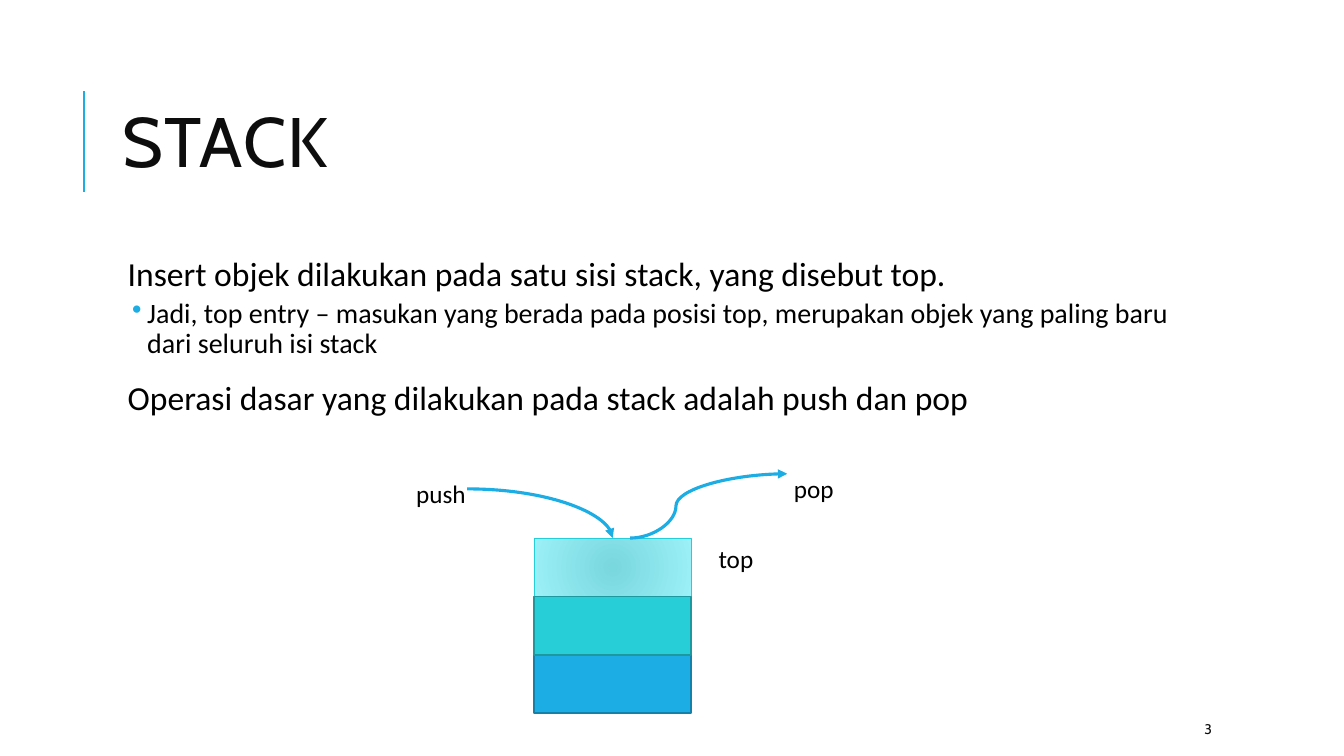
from pptx import Presentation
from pptx.dml.color import RGBColor
from pptx.enum.shapes import MSO_CONNECTOR as CONN, MSO_SHAPE as SHAPE
from pptx.enum.text import MSO_ANCHOR as ANCHOR, MSO_AUTO_SIZE as AUTO
from pptx.oxml import parse_xml
from pptx.oxml.ns import nsdecls
from pptx.util import Cm, Pt

C = {"blue": "1CADE4", "blue_edge": "1580A9", "teal": "27CED7",
     "teal_edge": "1D989F", "glow_in": "79D7DE", "glow_out": "9CF0F7",
     "ink": "0D0D0D", "black": "000000"}

prs = Presentation()
prs.slide_width, prs.slide_height = Cm(33.87), Cm(19.05)
s = prs.slides.add_slide(prs.slide_layouts[6])


def add_text(box, paras, font, color, anchor=ANCHOR.TOP, wrap=True):
    """Add a text box; paras holds (text, size, paragraph format)."""
    tf = s.shapes.add_textbox(*map(Cm, box)).text_frame
    tf.word_wrap, tf.vertical_anchor = wrap, anchor
    for i, (text, size, fmt) in enumerate(paras):
        p = tf.add_paragraph() if i else tf.paragraphs[0]
        for name, value in fmt.items():
            setattr(p, name, value)
        r = p.add_run()
        r.text = text
        r.font.size, r.font.name = Pt(size), font
        r.font.color.rgb = RGBColor.from_string(C[color])
    return tf


def add_line(kind, x1, y1, x2, y2, width):
    """Add a blue connector without a shadow."""
    c = s.shapes.add_connector(kind, Cm(x1), Cm(y1), Cm(x2), Cm(y2))
    c.line.color.rgb = RGBColor.from_string(C["blue"])
    c.line.width = Pt(width)
    c._element.spPr.append(parse_xml(f"<a:effectLst {nsdecls('a')}/>"))
    return c


# Title with accent line, and slide number
add_line(CONN.STRAIGHT, 2.12, 4.83, 2.12, 2.29, 1.5)
add_text((30.1, 17.98, 2.69, 0.76), [("3", 10, {})], "Cabin", "ink", ANCHOR.MIDDLE)
tf = add_text((2.84, 1.63, 27, 4.17), [("STACK", 50, {"line_spacing": 0.8})],
              "Cabin", "ink", ANCHOR.MIDDLE)
tf.paragraphs[0].runs[0].font._element.set("spc", "100")

# Body text
main = {"line_spacing": 0.9, "space_before": Pt(12), "space_after": Pt(2)}
sub = {"line_spacing": 0.9, "space_before": Pt(2), "space_after": Pt(4), "level": 1}
tf = add_text((2.84, 6.35, 27, 11.18), [
    ("Insert objek dilakukan pada satu sisi stack, yang disebut top.", 24, main),
    ("Jadi, top entry – masukan yang berada pada posisi top, merupakan objek "
     "yang paling baru dari seluruh isi stack", 20, sub),
    ("Operasi dasar yang dilakukan pada stack adalah push dan pop", 24, main),
], "Calibri", "black")
for side in ("left", "top", "right", "bottom"):
    setattr(tf, f"margin_{side}", Cm(0.13))
for p in tf.paragraphs:
    pPr = p._p.get_or_add_pPr()
    left, indent = (0.74, -0.38) if p.level else (0.25, 0)
    pPr.set("marL", str(Cm(left)))
    pPr.set("indent", str(Cm(indent)))
    if p.level:
        pPr.append(parse_xml(f'<a:buClr {nsdecls("a")}><a:srgbClr val="{C["blue"]}"/></a:buClr>'))
        pPr.append(parse_xml(f'<a:buChar {nsdecls("a")} char="•"/>'))

# Stack cells; the middle one lies over its neighbours' edges
stack_x, stack_y, cell_w, cell_h = 13.46, 13.56, 3.96, 1.47
for row, fill, edge, width in ((2, "blue", "blue_edge", 1.25),
                               (0, None, "teal", 0.75),
                               (1, "teal", "teal_edge", 1.25)):
    sp = s.shapes.add_shape(SHAPE.RECTANGLE, Cm(stack_x), Cm(stack_y + row * cell_h),
                            Cm(cell_w), Cm(cell_h))
    sp.shadow.inherit = False
    sp.line.color.rgb = RGBColor.from_string(C[edge])
    sp.line.width = Pt(width)
    if fill:
        sp.fill.solid()
        sp.fill.fore_color.rgb = RGBColor.from_string(C[fill])
        continue
    # Top cell: radial gradient
    sp.fill.gradient()
    for stop, name in zip(sp.fill.gradient_stops, ("glow_in", "glow_out")):
        stop.color.rgb = RGBColor.from_string(C[name])
    grad = sp._element.spPr.gradFill
    grad.replace(grad.lin, parse_xml(
        f'<a:path {nsdecls("a")} path="circle">'
        '<a:fillToRect l="100000" t="100000" r="100000" b="100000"/></a:path>'))

# Push and pop arrows
push = add_line(CONN.CURVE, 11.77, 12.32, 15.44, stack_y, 2.25)
pop = add_line(CONN.CURVE, 15.88, stack_y, 19.84, 11.94, 2.25)
for c in (push, pop):
    c.line._get_or_add_ln().append(parse_xml(f'<a:tailEnd {nsdecls("a")} type="triangle"/>'))
push._element.spPr.prstGeom.set("prst", "curvedConnector2")
pop._element.spPr.prstGeom.get_or_add_avLst().append(
    parse_xml(f'<a:gd {nsdecls("a")} name="adj1" fmla="val 29200"/>'))

# Labels
for text, x, y in (("push", 10.24, 11.94), ("pop", 19.76, 11.79), ("top", 17.86, 13.56)):
    tf = add_text((x, y, 2.62, 1.02), [(text, 18, {})], "Calibri", "black")
    tf.auto_size = AUTO.SHAPE_TO_FIT_TEXT

prs.save("out.pptx")
